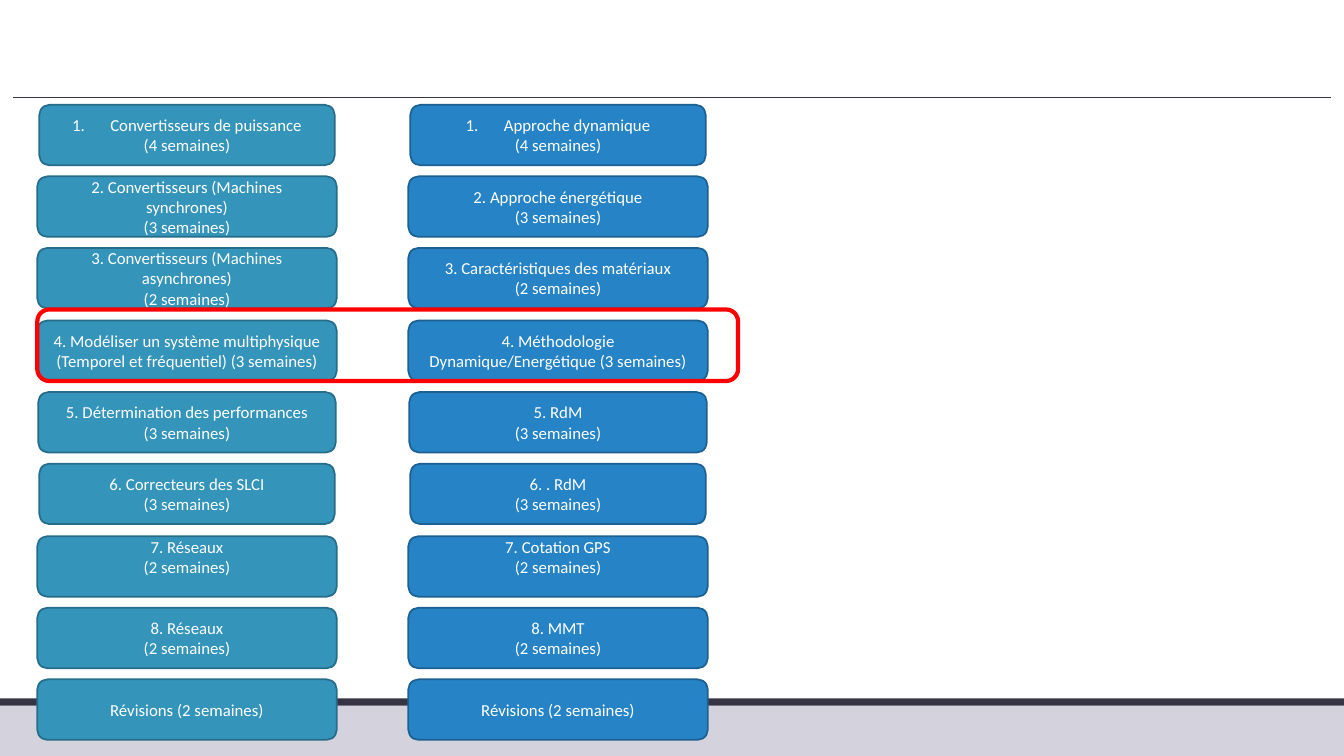
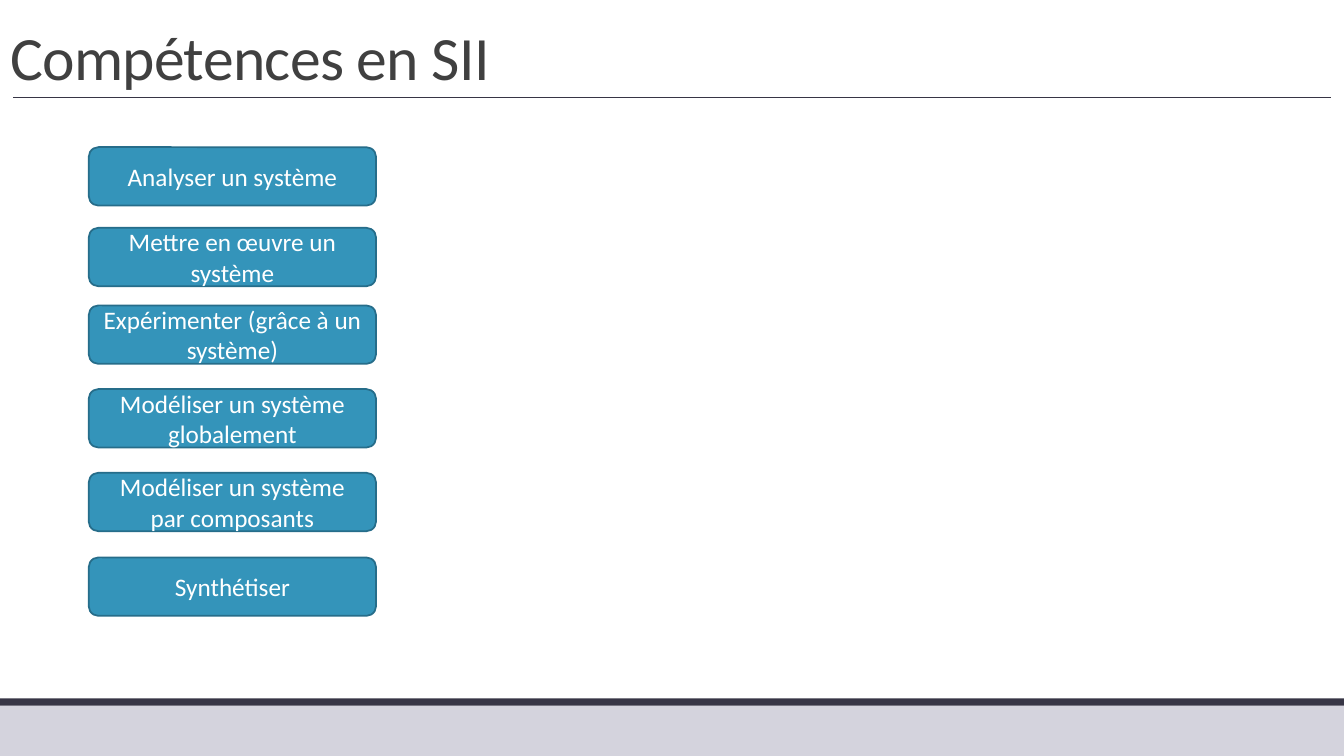
from lxml.etree import SubElement
from pptx import Presentation
from pptx.dml.color import RGBColor
from pptx.enum.shapes import MSO_CONNECTOR, MSO_SHAPE
from pptx.enum.text import MSO_ANCHOR, MSO_AUTO_SIZE, PP_ALIGN
from pptx.oxml.ns import qn
from pptx.util import Emu, Pt

SCALE = 9144  # EMU per px, 100 px to the inch
PAGE_WIDTH, PAGE_HEIGHT = 1333, 750
FONT = "Calibri"

WHITE = RGBColor(0xFF, 0xFF, 0xFF)
LAVENDER = RGBColor(0xD4, 0xD3, 0xDD)
DARK = RGBColor(0x37, 0x35, 0x45)
TITLE_GREY = RGBColor(0x40, 0x40, 0x40)
TEAL = RGBColor(0x34, 0x94, 0xBA)
TEAL_EDGE = RGBColor(0x26, 0x6D, 0x8A)
BLUE = RGBColor(0x26, 0x83, 0xC6)
BLUE_EDGE = RGBColor(0x1C, 0x61, 0x92)
RED = RGBColor(0xFF, 0x00, 0x00)

# Course plan: the first line of each column is auto-numbered
ELECTRICAL = [
    ["Convertisseurs de puissance", "(4 semaines)"],
    ["2. Convertisseurs (Machines synchrones)", "(3 semaines)"],
    ["3. Convertisseurs (Machines asynchrones)", "(2 semaines)"],
    ["4. Modéliser un système multiphysique (Temporel et fréquentiel) (3 semaines)"],
    ["5. Détermination des performances", "(3 semaines)"],
    ["6. Correcteurs des SLCI", "(3 semaines)"],
    ["7. Réseaux", "(2 semaines)"],
    ["8. Réseaux", "(2 semaines)"],
    ["Révisions (2 semaines)"],
]
MECHANICAL = [
    ["Approche dynamique", "(4 semaines)"],
    ["2. Approche énergétique", "(3 semaines)"],
    ["3. Caractéristiques des matériaux", "(2 semaines)"],
    ["4. Méthodologie Dynamique/Energétique (3 semaines)"],
    ["5. RdM", "(3 semaines)"],
    ["6. . RdM", "(3 semaines)"],
    ["7. Cotation GPS", "(2 semaines)"],
    ["8. MMT", "(2 semaines)"],
    ["Révisions (2 semaines)"],
]
ROW_INSETS = [2, 0, 0, 0, 1, 2, 0, 0, 0]
ROW_PITCH = 71.25
RAISED_ROW = 6

SKILLS = [
    (146, "Analyser un système"),
    (226, "Mettre en œuvre un système"),
    (303, "Expérimenter (grâce à un système)"),
    (386, "Modéliser un système globalement"),
    (469, "Modéliser un système par composants"),
    (553, "Synthétiser"),
]


def px(length):
    return Emu(round(length * SCALE))


def add_box(page, kind, left, top, width, height, fill=None, edge=None, weight=1.25):
    box = page.shapes.add_shape(kind, px(left), px(top), px(width), px(height))
    box.shadow.inherit = False
    if fill is None:
        box.fill.background()
    else:
        box.fill.solid()
        box.fill.fore_color.rgb = fill
    if edge is None:
        box.line.fill.background()
    else:
        box.line.color.rgb = edge
        box.line.width = Pt(weight)
    return box


def add_run(para, text, size, color):
    span = para.add_run()
    span.text = text
    span.font.name = FONT
    span.font.size = Pt(size)
    span.font.color.rgb = color
    return span


def add_card(page, left, top, width, height, lines, size, fill, edge):
    """A rounded card with centred white lines."""
    card = add_box(page, MSO_SHAPE.ROUNDED_RECTANGLE, left, top, width, height, fill, edge)
    frame = card.text_frame
    frame.word_wrap = True
    frame.vertical_anchor = MSO_ANCHOR.MIDDLE
    for index, line in enumerate(lines):
        para = frame.add_paragraph() if index else frame.paragraphs[0]
        para.alignment = PP_ALIGN.CENTER
        add_run(para, line, size, WHITE)
    return card


def number_paragraph(para):
    properties = para._p.get_or_add_pPr()
    properties.set("marL", str(px(38)))
    properties.set("indent", str(-px(38)))
    SubElement(properties, qn("a:buAutoNum"), type="arabicPeriod")


def furnish_layout(layout, page):
    """Move the footer bands and title rule onto the shared layout."""
    footer = add_box(page, MSO_SHAPE.RECTANGLE, 0, 700, PAGE_WIDTH, 50, LAVENDER)
    stripe = add_box(page, MSO_SHAPE.RECTANGLE, 0, 693, PAGE_WIDTH, 7, DARK)
    rule = page.shapes.add_connector(MSO_CONNECTOR.STRAIGHT, px(13), px(97), px(1320), px(97))
    rule.line.color.rgb = DARK
    rule.line.width = Pt(0.5)
    SubElement(rule._element.spPr, qn("a:effectLst"))
    for part in (footer, stripe, rule):
        layout.shapes.element.append(part._element)


def set_title(page, text):
    title = page.shapes.title
    title.left, title.top, title.width, title.height = px(0), px(0), px(PAGE_WIDTH), px(97)
    frame = title.text_frame
    frame.word_wrap = True
    frame.auto_size = MSO_AUTO_SIZE.NONE
    frame.vertical_anchor = MSO_ANCHOR.BOTTOM
    para = frame.paragraphs[0]
    para.alignment = PP_ALIGN.LEFT
    para.line_spacing = 0.85
    span = add_run(para, text, 44, TITLE_GREY)
    span.font._element.set("spc", "-50")


def add_plan_column(page, left, top, width, rows, fill, edge):
    for index, (lines, inset) in enumerate(zip(rows, ROW_INSETS)):
        card = add_card(page, left + inset, top + round(index * ROW_PITCH),
                        width - 2 * inset, 60, lines, 12, fill, edge)
        if index == 0:
            number_paragraph(card.text_frame.paragraphs[0])
        if index == RAISED_ROW:
            card.text_frame.margin_top = px(0)
            card.text_frame.margin_bottom = px(20)


def build_plan(page):
    title = page.shapes.title._element
    title.getparent().remove(title)
    add_plan_column(page, 37, 104, 297, ELECTRICAL, TEAL, TEAL_EDGE)
    add_plan_column(page, 405, 104, 297, MECHANICAL, BLUE, BLUE_EDGE)
    # Highlight around the fourth row
    add_box(page, MSO_SHAPE.ROUNDED_RECTANGLE, 37, 307, 695, 71, edge=RED, weight=3)


def build_skills(page):
    set_title(page, "Compétences en SII")
    for top, skill in SKILLS:
        add_card(page, 88, top, 285, 58, [skill], 18, TEAL, TEAL_EDGE)


def main():
    deck = Presentation()
    deck.slide_width, deck.slide_height = px(PAGE_WIDTH), px(PAGE_HEIGHT)
    layout = deck.slide_layouts.get_by_name("Title Only")
    plan, skills = [deck.slides.add_slide(layout) for _ in range(2)]
    furnish_layout(layout, plan)
    build_plan(plan)
    build_skills(skills)
    deck.save("out.pptx")


if __name__ == "__main__":
    main()
